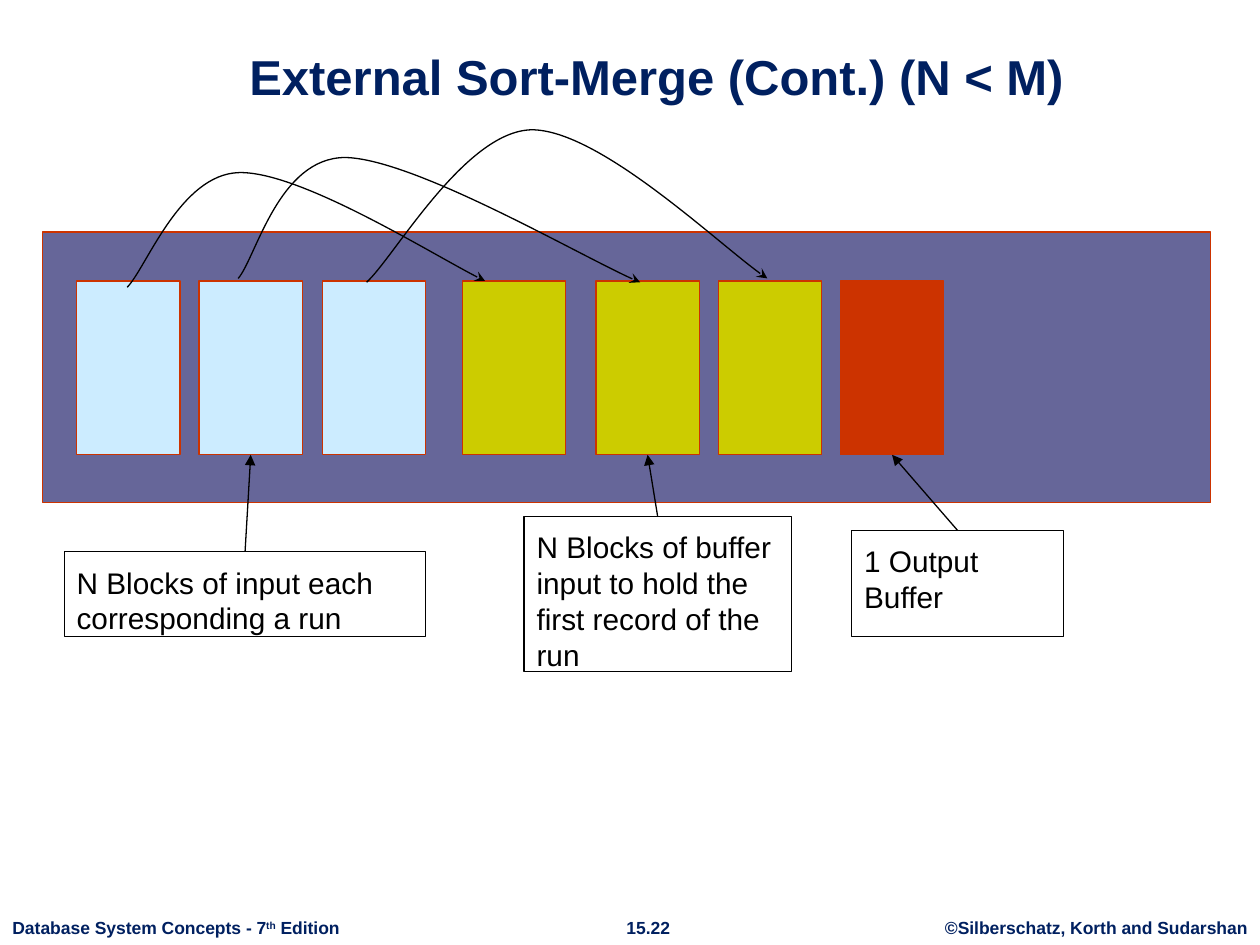
import pptx
import pptx.util
import pptx.dml.color
import pptx.enum.shapes
import pptx.enum.text
import pptx.oxml.ns
from dataclasses import dataclass
from lxml import etree

Inches = pptx.util.Inches
Pt = pptx.util.Pt
qn = pptx.oxml.ns.qn
ALIGN = pptx.enum.text.PP_ALIGN
ANCHOR = pptx.enum.text.MSO_ANCHOR
RECTANGLE = pptx.enum.shapes.MSO_SHAPE.RECTANGLE
STRAIGHT = pptx.enum.shapes.MSO_CONNECTOR.STRAIGHT
TOP, BOTTOM = 0, 2


@dataclass(frozen=True)
class Theme:
    font: str = "Arial"
    navy: str = "002060"
    black: str = "000000"
    memory: str = "666699"
    run_block: str = "CCECFF"
    buffer_block: str = "CCCC00"
    red: str = "CC3300"
    title_size: float = 28
    label_size: float = 17
    footer_size: float = 10
    line_width: float = 0.75


class SlideBuilder:
    def __init__(self, slide, theme):
        self.slide = slide
        self.theme = theme

    def style_frame(self, frame, inset=0.1, side=0.1, **options):
        margins = {"margin_left": side, "margin_right": side,
                   "margin_top": inset, "margin_bottom": inset}
        settings = {name: Inches(gap) for name, gap in margins.items()}
        for name, value in {**settings, **options}.items():
            setattr(frame, name, value)

    def style_font(self, font, size, color, bold=False):
        for name, value in {"name": self.theme.font, "size": Pt(size), "bold": bold}.items():
            setattr(font, name, value)
        font.color.rgb = pptx.dml.color.RGBColor.from_string(color)

    def style_line(self, line, color):
        line.color.rgb = pptx.dml.color.RGBColor.from_string(color)
        line.width = Pt(self.theme.line_width)

    def arrowhead(self, arrow, kind):
        outline = arrow._element.spPr.get_or_add_ln()
        etree.SubElement(outline, qn("a:tailEnd"), type=kind)

    def title(self, text, left, top, width, height):
        title = self.slide.shapes.title
        for name, value in {"left": left, "top": top, "width": width, "height": height}.items():
            setattr(title, name, Inches(value))
        frame = title.text_frame
        frame.text = text
        self.style_frame(frame, word_wrap=True, vertical_anchor=ANCHOR.MIDDLE)
        frame.paragraphs[0].alignment = ALIGN.CENTER
        self.style_font(frame.paragraphs[0].runs[0].font, self.theme.title_size,
                        self.theme.navy, bold=True)

    def footer(self, parts, left, width, align):
        box = self.slide.shapes.add_textbox(*map(Inches, (left, 7.23, width, 0.27)))
        self.style_frame(box.text_frame, inset=0.05, word_wrap=False)
        paragraph = box.text_frame.paragraphs[0]
        paragraph.alignment = align
        for text, raised in parts:
            run = paragraph.add_run()
            run.text = text
            self.style_font(run.font, self.theme.footer_size, self.theme.navy, bold=True)
            if raised:
                run._r.get_or_add_rPr().set("baseline", "30000")

    def rectangle(self, left, top, width, height, fill, border):
        box = self.slide.shapes.add_shape(RECTANGLE, *map(Inches, (left, top, width, height)))
        box.shadow.inherit = False
        if fill:
            box.fill.solid()
            box.fill.fore_color.rgb = pptx.dml.color.RGBColor.from_string(fill)
        else:
            box.fill.background()
        self.style_line(box.line, border)
        return box

    def label(self, text, left, top, width, height):
        box = self.rectangle(left, top, width, height, None, self.theme.black)
        frame = box.text_frame
        frame.text = text
        self.style_frame(frame, word_wrap=True, vertical_anchor=ANCHOR.TOP)
        paragraph = frame.paragraphs[0]
        paragraph.alignment = ALIGN.LEFT
        self.style_font(paragraph.runs[0].font, self.theme.label_size, self.theme.black)
        return box

    def pointer(self, label, block):
        pointer = self.slide.shapes.add_connector(STRAIGHT, 0, 0, 0, 0)
        pointer.begin_connect(label, TOP)
        pointer.end_connect(block, BOTTOM)
        self.style_line(pointer.line, self.theme.black)
        etree.SubElement(pointer._element.spPr, qn("a:effectLst"))
        self.arrowhead(pointer, "triangle")

    def curve(self, points):
        """Draw a start point followed by cubic segments of three points each."""
        start, *controls = [(Inches(x), Inches(y)) for x, y in points]
        builder = self.slide.shapes.build_freeform(*start)
        builder.add_line_segments(controls, close=False)
        curve = builder.convert_to_shape()
        curve.shadow.inherit = False
        curve.fill.background()
        self.style_line(curve.line, self.theme.black)
        self.arrowhead(curve, "stealth")
        # Gather every three straight steps into one Bézier segment
        steps = list(curve._element.iter(qn("a:lnTo")))
        for first in range(0, len(steps), 3):
            bezier = etree.Element(qn("a:cubicBezTo"))
            steps[first].addprevious(bezier)
            for step in steps[first:first + 3]:
                bezier.append(step[0])
                step.getparent().remove(step)


def main():
    theme = Theme()
    deck = pptx.Presentation()
    deck.slide_width, deck.slide_height = Inches(10), Inches(7.5)
    page = SlideBuilder(deck.slides.add_slide(deck.slide_layouts[5]), theme)

    # Title and footer
    page.title("External Sort-Merge (Cont.) (N < M)", 0.82, 0.27, 8.78, 0.67)
    page.footer([("©Silberschatz, Korth and Sudarshan", False)], 7.4, 2.6, ALIGN.CENTER)
    page.footer([("15.22", False)], 4.86, 0.57, ALIGN.CENTER)
    page.footer([("Database System Concepts - 7", False), ("th", True), (" Edition", False)],
                0, 2.81, ALIGN.LEFT)

    # Memory with its blocks
    page.rectangle(0.34, 1.84, 9.27, 2.15, theme.memory, theme.red)
    block_groups = [
        (theme.run_block, [0.61, 1.58, 2.56]),
        (theme.buffer_block, [3.67, 4.73, 5.7]),
        (theme.red, [6.67]),
    ]
    run_blocks, buffer_blocks, output_blocks = [
        [page.rectangle(left, 2.23, 0.82, 1.38, fill, theme.red) for left in lefts]
        for fill, lefts in block_groups
    ]

    # Labels pointing at the blocks
    labels = [
        ("N Blocks of input each corresponding a run", (0.51, 4.38, 2.87, 0.67), run_blocks[1]),
        ("N Blocks of buffer input to hold the first record of the run",
         (4.16, 4.1, 2.12, 1.23), buffer_blocks[1]),
        ("1 Output Buffer", (6.76, 4.21, 1.68, 0.84), output_blocks[0]),
    ]
    for text, place, block in labels:
        page.pointer(page.label(text, *place), block)

    # Curves from each run to its buffer
    record_moves = [
        [(1.01, 2.28), (1.16, 2.13), (1.43, 1.38), (1.9, 1.37),
         (2.38, 1.36), (3.53, 2.08), (3.85, 2.23)],
        [(1.89, 2.21), (2.03, 2.05), (2.21, 1.25), (2.74, 1.25),
         (3.28, 1.26), (4.69, 2.08), (5.08, 2.24)],
        [(2.91, 2.24), (3.13, 2.04), (3.69, 1.04), (4.22, 1.03),
         (4.75, 1.03), (5.78, 2.01), (6.09, 2.21)],
    ]
    for points in record_moves:
        page.curve(points)

    deck.save("out.pptx")


if __name__ == "__main__":
    main()
